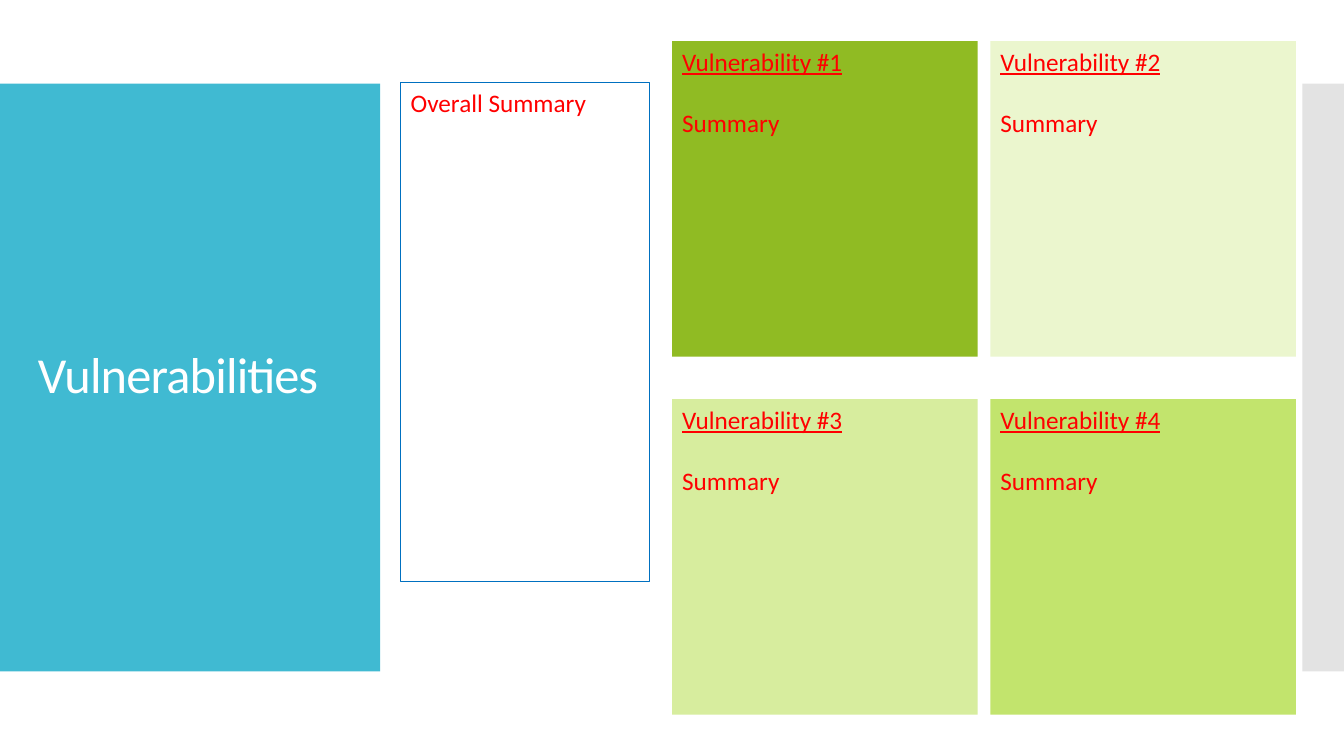
from pptx import Presentation
from pptx.dml.color import RGBColor
from pptx.enum.shapes import MSO_SHAPE
from pptx.enum.text import MSO_ANCHOR, MSO_AUTO_SIZE, PP_ALIGN
from pptx.util import Cm, Pt

FONT = "Calibri"
COLORS = {
    "band": "40BAD2", "edge": "E3E3E3", "title": "FFFFFF",
    "text": "FF0000", "outline": "0070C0",
    "cards": ["90BB23", "EBF6CE", "D7ED9E", "C2E46D"],
}


def rgb(value):
    return RGBColor.from_string(value)


def add_rect(slide, box, fill=None, line=None):
    sp = slide.shapes.add_shape(MSO_SHAPE.RECTANGLE, *map(Cm, box))
    sp.shadow.inherit = False
    if fill:
        sp.fill.solid()
        sp.fill.fore_color.rgb = rgb(fill)
    else:
        sp.fill.background()
    if line:
        sp.line.color.rgb = rgb(line)
        sp.line.width = Pt(0.75)
    else:
        sp.line.fill.background()
    return sp


def add_run(p, text, size, color, underline=None):
    p.alignment = PP_ALIGN.LEFT
    r = p.add_run()
    r.text = text
    r.font.name = FONT
    r.font.size = Pt(size)
    r.font.color.rgb = rgb(color)
    r.font.underline = underline
    return r


def top_frame(sp):
    tf = sp.text_frame
    tf.word_wrap = True
    tf.vertical_anchor = MSO_ANCHOR.TOP
    return tf


# Title band on the left and narrow strip on the right edge
def add_title_band(slide, box, strip_width):
    left, top, width, height = box
    add_rect(slide, box, COLORS["band"])
    add_rect(slide, (33.87 - strip_width, top, strip_width, height), COLORS["edge"])

    title = slide.shapes.title
    title.element.getparent().append(title.element)  # bring above the band
    title.left, title.top = Cm(left + 0.7), Cm(top + 1.02)
    title.width, title.height = Cm(width - 1.4), Cm(height - 2.04)
    tf = title.text_frame
    tf.word_wrap = True
    tf.auto_size = MSO_AUTO_SIZE.NONE
    tf.vertical_anchor = MSO_ANCHOR.MIDDLE
    p = tf.paragraphs[0]
    p.line_spacing = 0.9
    r = add_run(p, "Vulnerabilities", 36, COLORS["title"])
    r.font._element.set("spc", "-60")


# Outlined panel for the overall summary
def add_summary(slide, box):
    tf = top_frame(add_rect(slide, box, line=COLORS["outline"]))
    add_run(tf.paragraphs[0], "Overall Summary", 18, COLORS["text"])


# Two-by-two grid of vulnerability cards
def add_cards(slide, box, gap_x, gap_y):
    left, top, width, height = box
    card_w, card_h = (width - gap_x) / 2, (height - gap_y) / 2
    for i, fill in enumerate(COLORS["cards"]):
        row, col = divmod(i, 2)
        card = (left + col * (card_w + gap_x), top + row * (card_h + gap_y),
                card_w, card_h)
        tf = top_frame(add_rect(slide, card, fill))
        add_run(tf.paragraphs[0], f"Vulnerability #{i + 1}", 18, COLORS["text"], True)
        p = tf.add_paragraph()
        p.space_before = Pt(22)
        add_run(p, "Summary", 18, COLORS["text"])


prs = Presentation()
prs.slide_width, prs.slide_height = Cm(33.87), Cm(19.05)
slide = prs.slides.add_slide(prs.slide_layouts[5])
add_title_band(slide, (0, 2.11, 9.58, 14.81), strip_width=1.05)
add_summary(slide, (10.1, 2.08, 6.27, 12.57))
add_cards(slide, (16.94, 1.04, 15.72, 16.97), gap_x=0.32, gap_y=1.07)
prs.save("out.pptx")
